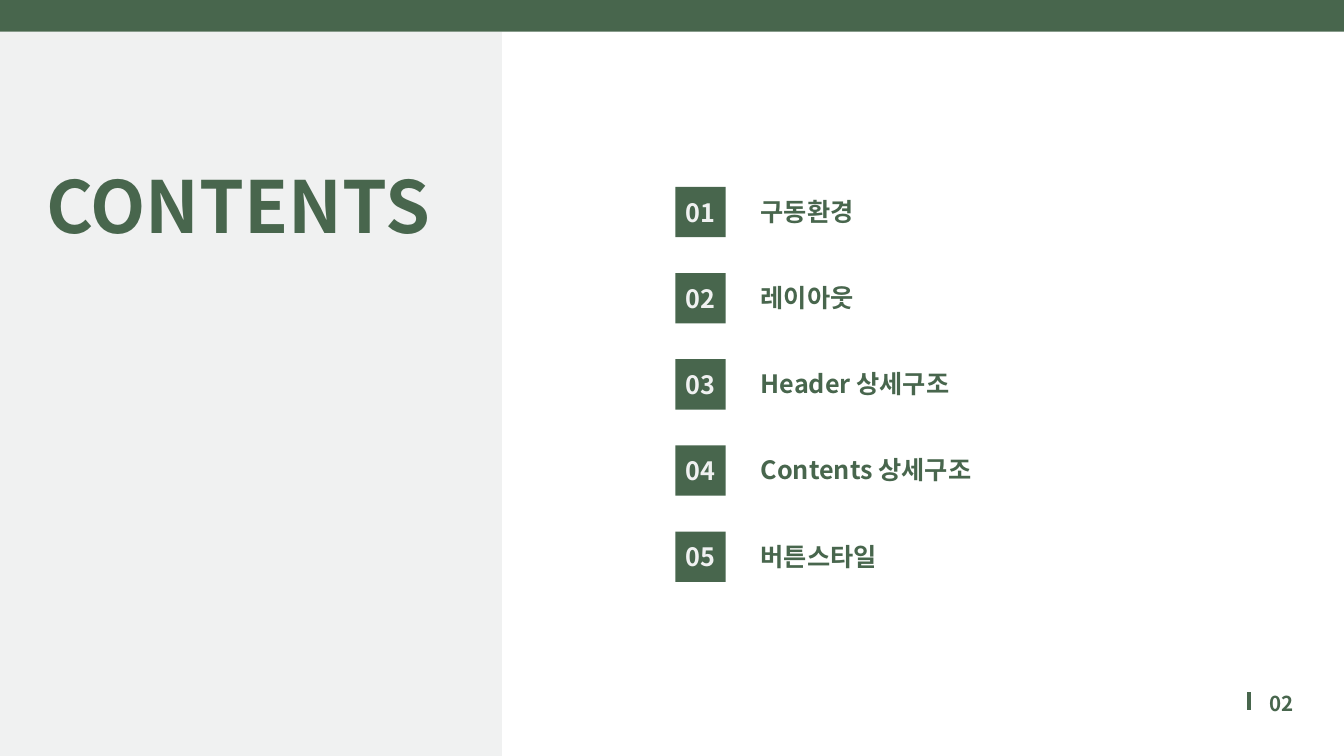
from typing import NamedTuple

from lxml import etree
from pptx import Presentation
from pptx.dml.color import RGBColor
from pptx.enum.shapes import MSO_CONNECTOR, MSO_SHAPE
from pptx.enum.text import MSO_ANCHOR, MSO_AUTO_SIZE, PP_ALIGN
from pptx.oxml.ns import qn
from pptx.slide import Slide
from pptx.util import Inches, Pt

RECTANGLE = MSO_SHAPE.RECTANGLE
STRAIGHT = MSO_CONNECTOR.STRAIGHT
TOP, MIDDLE = MSO_ANCHOR.TOP, MSO_ANCHOR.MIDDLE
FIT, FIXED = MSO_AUTO_SIZE.SHAPE_TO_FIT_TEXT, MSO_AUTO_SIZE.NONE
LEFT, CENTER, RIGHT = PP_ALIGN.LEFT, PP_ALIGN.CENTER, PP_ALIGN.RIGHT

COLORS = {"green": "48664D", "pale": "F0F1F1"}
FONT = "Noto Sans CJK KR"
SLIDE_W, SLIDE_H = 20, 11.25
BAR_H = 0.47
BADGE_SIZE = 0.75
FIRST_TOP, LAST_TOP = 2.78, 7.91


class Box(NamedTuple):
    left: float
    top: float
    width: float
    height: float


class TextStyle(NamedTuple):
    size: float
    line_height: float
    color: str = "green"
    align: PP_ALIGN = LEFT
    anchor: MSO_ANCHOR = TOP
    inset: float = 0
    auto_size: MSO_AUTO_SIZE = FIT


class Entry(NamedTuple):
    title: str
    width: float


HEADING = TextStyle(77, 107.8, align=CENTER)
BADGE = TextStyle(27, 37.8, "pale", CENTER, MIDDLE, 0.06, FIXED)
ENTRY = TextStyle(27, 32.4)
PAGE_NUMBER = TextStyle(22, 30.8, align=RIGHT)

ENTRIES = [
    Entry("구동환경", 2.65),
    Entry("레이아웃", 2.65),
    Entry("Header 상세구조", 4.02),
    Entry("Contents 상세구조", 4.77),
    Entry("버튼스타일", 2.65),
]


def rgb(name: str) -> RGBColor:
    return RGBColor.from_string(COLORS[name])


def add_block(slide: Slide, box: Box, color: str) -> None:
    block = slide.shapes.add_shape(RECTANGLE, *map(Inches, box))
    block.shadow.inherit = False
    block.fill.solid()
    block.fill.fore_color.rgb = rgb(color)
    block.line.fill.background()


def add_text(slide: Slide, box: Box, text: str, style: TextStyle) -> None:
    frame = slide.shapes.add_textbox(*map(Inches, box)).text_frame
    inset = Inches(style.inset)
    frame_format = {
        "word_wrap": True,
        "auto_size": style.auto_size,
        "vertical_anchor": style.anchor,
        "margin_left": inset,
        "margin_top": inset,
        "margin_right": inset,
        "margin_bottom": inset,
    }
    for attribute, value in frame_format.items():
        setattr(frame, attribute, value)

    paragraph = frame.paragraphs[0]
    paragraph.alignment = style.align
    paragraph.line_spacing = Pt(style.line_height)
    run = paragraph.add_run()
    run.text = text
    for attribute, value in {"name": FONT, "size": Pt(style.size), "bold": True}.items():
        setattr(run.font, attribute, value)
    run.font.color.rgb = rgb(style.color)
    # Hangul takes its typeface from the East Asian font
    etree.SubElement(run.font._element, qn("a:ea"), typeface=FONT)


def add_entry(slide: Slide, number: int, top: float, entry: Entry) -> None:
    add_block(slide, Box(10.05, top, BADGE_SIZE, BADGE_SIZE), "green")
    add_text(slide, Box(10.05, top - 0.06, BADGE_SIZE, 0.8), f"{number:02}", BADGE)
    add_text(slide, Box(11.32, top + 0.14, entry.width, 0.46), entry.title, ENTRY)


def add_rule(slide: Slide, x: float, top: float, bottom: float) -> None:
    rule = slide.shapes.add_connector(
        STRAIGHT, Inches(x), Inches(top), Inches(x), Inches(bottom)
    )
    rule.line.color.rgb = rgb("green")
    rule.line.width = Pt(3.75)
    etree.SubElement(rule._element.spPr, qn("a:effectLst"))


def main() -> None:
    deck = Presentation()
    deck.slide_width, deck.slide_height = Inches(SLIDE_W), Inches(SLIDE_H)
    slide = deck.slides.add_slide(deck.slide_layouts[6])

    # Numbered contents list
    pitch = (LAST_TOP - FIRST_TOP) / (len(ENTRIES) - 1)
    for index, entry in enumerate(ENTRIES):
        add_entry(slide, index + 1, FIRST_TOP + index * pitch, entry)

    # Side panel, top bar and heading
    add_block(slide, Box(0, BAR_H, 7.47, SLIDE_H - BAR_H), "pale")
    add_block(slide, Box(0, 0, SLIDE_W, BAR_H), "green")
    add_text(slide, Box(0.58, 2.19, 5.93, 1.44), "CONTENTS", HEADING)

    # Page number
    add_rule(slide, 18.59, 10.3, 10.57)
    add_text(slide, Box(18.71, 10.22, 0.54, 0.4), "02", PAGE_NUMBER)

    deck.save("out.pptx")


if __name__ == "__main__":
    main()
